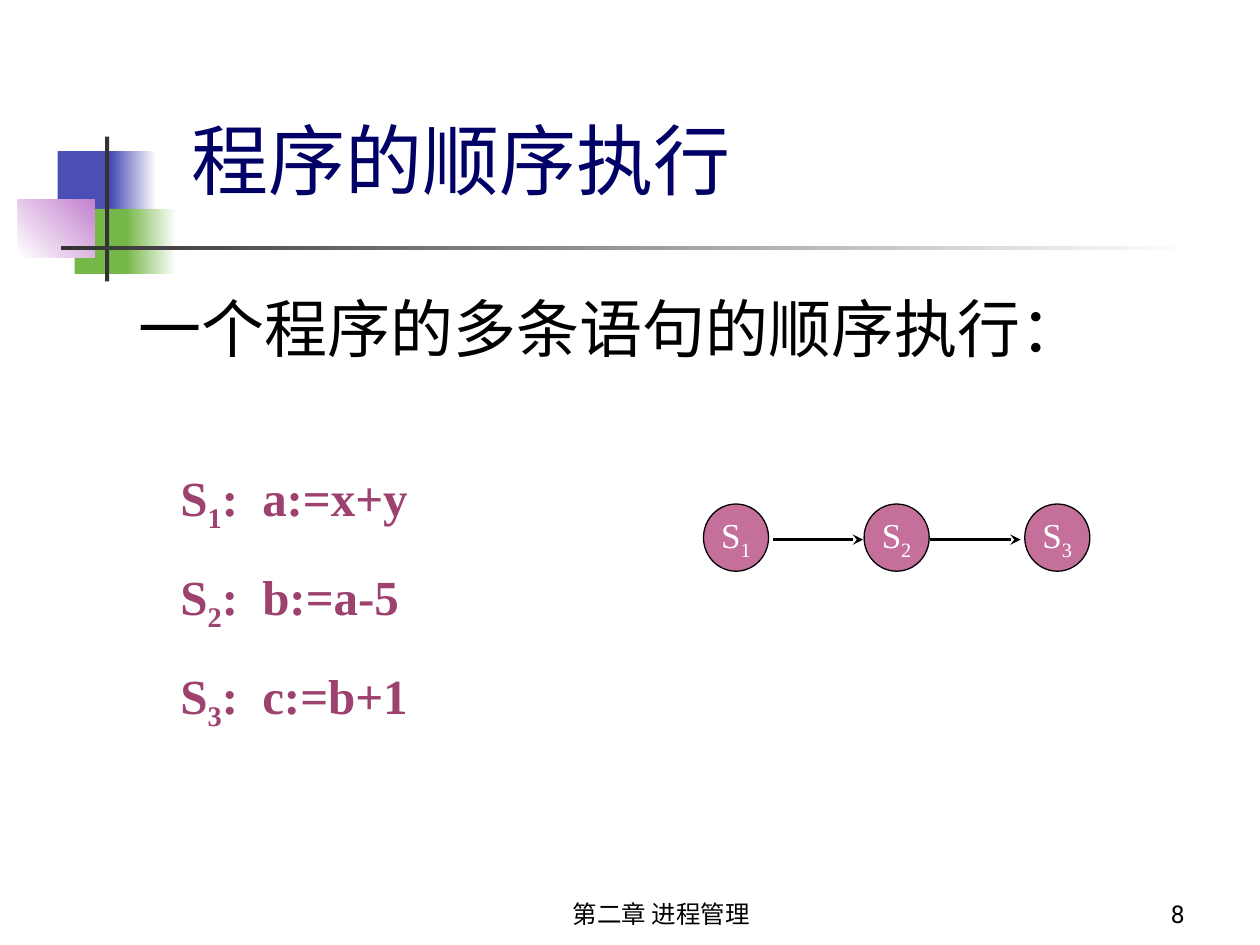
import dataclasses

import pptx
import pptx.dml.color
import pptx.enum.shapes
import pptx.enum.text
import pptx.oxml.ns
import pptx.util
from lxml import etree

SHAPE = pptx.enum.shapes.MSO_SHAPE
ALIGN = pptx.enum.text.PP_ALIGN
ANCHOR = pptx.enum.text.MSO_ANCHOR
COLS, ROWS = 120, 90


@dataclasses.dataclass(frozen=True)
class Theme:
    navy: str = "000066"
    ink: str = "000000"
    paper: str = "FFFFFF"
    blue: str = "4B4EB5"
    green: str = "76B749"
    lilac: str = "C481CF"
    bar: str = "333333"
    rose: str = "C4709A"
    plum: str = "9D416F"
    han: str = "Noto Sans CJK SC"
    sans: str = "Roboto"
    serif: str = "Times New Roman"
    title: int = 44
    body: int = 36
    code: int = 28
    node: int = 20
    foot: int = 14


def rgb(code):
    return pptx.dml.color.RGBColor.from_string(code)


def child(parent, tag, **attrs):
    return etree.SubElement(parent, pptx.oxml.ns.qn(tag), attrs)


class Deck:
    """Theme and current slide; all lengths are in grid columns and rows."""

    def __init__(self, theme):
        self.theme = theme
        self.show = pptx.Presentation()
        self.show.slide_width = pptx.util.Inches(10)
        self.show.slide_height = pptx.util.Inches(7.5)
        self.slide = self.show.slides.add_slide(self.show.slide_layouts[5])

    def place(self, *box):
        """Turn grid values, column and row in turn, into lengths."""
        cells = (self.show.slide_width / COLS, self.show.slide_height / ROWS)
        return [round(n * cells[i % 2]) for i, n in enumerate(box)]

    def run(self, para, text, size, font, color, bold=False, sub=False):
        run = para.add_run()
        run.text = text
        run.font.size = pptx.util.Pt(size)
        run.font.bold = bold
        run.font.color.rgb = rgb(color)
        run.font.name = font
        props = run._r.get_or_add_rPr()
        child(props, "a:ea", typeface=self.theme.han if font == self.theme.sans else font)
        if sub:
            props.set("baseline", "-25000")

    def frame(self, shape, anchor, wrap=True):
        frame = shape.text_frame
        frame.auto_size = pptx.enum.text.MSO_AUTO_SIZE.NONE
        frame.word_wrap = wrap
        frame.vertical_anchor = anchor
        return frame

    def title(self, box, text):
        shape = self.slide.shapes.title
        shape.left, shape.top, shape.width, shape.height = self.place(*box)
        para = self.frame(shape, ANCHOR.BOTTOM).paragraphs[0]
        para.alignment = ALIGN.LEFT
        self.run(para, text, self.theme.title, self.theme.han, self.theme.navy)

    def text(self, box, text, size, font, align=ALIGN.LEFT, anchor=ANCHOR.TOP):
        shape = self.slide.shapes.add_textbox(*self.place(*box))
        para = self.frame(shape, anchor).paragraphs[0]
        para.alignment = align
        self.run(para, text, size, font, self.theme.ink)

    def code(self, box, lines):
        """List numbered statements, each set off from its label by a tab."""
        look = self.theme.code, self.theme.serif, self.theme.plum, True
        shape = self.slide.shapes.add_textbox(*self.place(*box))
        frame = self.frame(shape, ANCHOR.TOP)
        for num, line in enumerate(lines, 1):
            para = frame.paragraphs[0] if num == 1 else frame.add_paragraph()
            tabs = child(para._p.get_or_add_pPr(), "a:tabLst")
            child(tabs, "a:tab", pos=str(pptx.util.Inches(0.65)), algn="l")
            para.line_spacing = 1.3
            if num > 1:
                para.space_before = pptx.util.Pt(7)
            self.run(para, "S", *look)
            self.run(para, str(num), *look, sub=True)
            self.run(para, ":\t" + line, *look)

    def shape(self, kind, box):
        shape = self.slide.shapes.add_shape(kind, *self.place(*box))
        shape.shadow.inherit = False
        return shape

    def block(self, box, color, fade=None, angle=0):
        """Draw a borderless rectangle, plain or fading into a second colour."""
        shape = self.shape(SHAPE.RECTANGLE, box)
        shape.line.fill.background()
        if fade is None:
            shape.fill.solid()
            shape.fill.fore_color.rgb = rgb(color)
            return
        shape.fill.gradient()
        shape.fill.gradient_angle = angle
        for stop, tone in zip(shape.fill.gradient_stops, (color, fade)):
            stop.color.rgb = rgb(tone)

    def node(self, box, num):
        look = self.theme.node, self.theme.serif, self.theme.paper
        shape = self.shape(SHAPE.OVAL, box)
        shape.fill.solid()
        shape.fill.fore_color.rgb = rgb(self.theme.rose)
        shape.line.color.rgb = rgb(self.theme.ink)
        shape.line.width = pptx.util.Pt(0.75)
        para = self.frame(shape, ANCHOR.MIDDLE, wrap=False).paragraphs[0]
        para.alignment = ALIGN.CENTER
        self.run(para, "S", *look)
        self.run(para, str(num), *look, sub=True)

    def arrow(self, *ends):
        kind = pptx.enum.shapes.MSO_CONNECTOR.STRAIGHT
        line = self.slide.shapes.add_connector(kind, *self.place(*ends))
        line.line.color.rgb = rgb(self.theme.ink)
        line.line.width = pptx.util.Pt(1.5)
        child(line.line._get_or_add_ln(), "a:tailEnd", type="stealth")
        child(line._element.spPr, "a:effectLst")


def main():
    theme = Theme()
    deck = Deck(theme)

    deck.block((5.5, 14.4, 5.8, 6.2), theme.blue)
    deck.block((10.6, 14.4, 4.3, 6.2), theme.blue, theme.paper)
    deck.block((7.1, 19.9, 5.5, 6.2), theme.green)
    deck.block((12, 19.9, 4.8, 6.2), theme.green, theme.paper)
    deck.block((1.7, 19, 7.3, 5.5), theme.paper, theme.lilac, 45)
    deck.block((10, 13, 0.4, 13.8), theme.bar)
    deck.block((5.8, 23.4, 108, 0.4), theme.bar, theme.paper)

    deck.title((17, 8.2, 100.3, 11.9), "程序的顺序执行")
    deck.text((12, 27, 100, 10), "一个程序的多条语句的顺序执行：", theme.body, theme.han)
    deck.code((16, 42, 31, 28.5), ("a:=x+y", "b:=a-5", "c:=b+1"))

    for i in range(3):
        deck.node((67 + 15.3 * i, 48, 6.2, 6.4), i + 1)
    for i in range(2):
        left = 73.6 + 15 * i
        deck.arrow(left, 51.4, left + 8.6, 51.4)

    deck.text((44, 83, 38, 6), "第二章 进程管理", theme.foot, theme.sans,
              ALIGN.CENTER, ANCHOR.BOTTOM)
    deck.text((89, 83, 25, 6), "8", theme.foot, theme.sans,
              ALIGN.RIGHT, ANCHOR.BOTTOM)
    deck.show.save("out.pptx")


if __name__ == "__main__":
    main()
